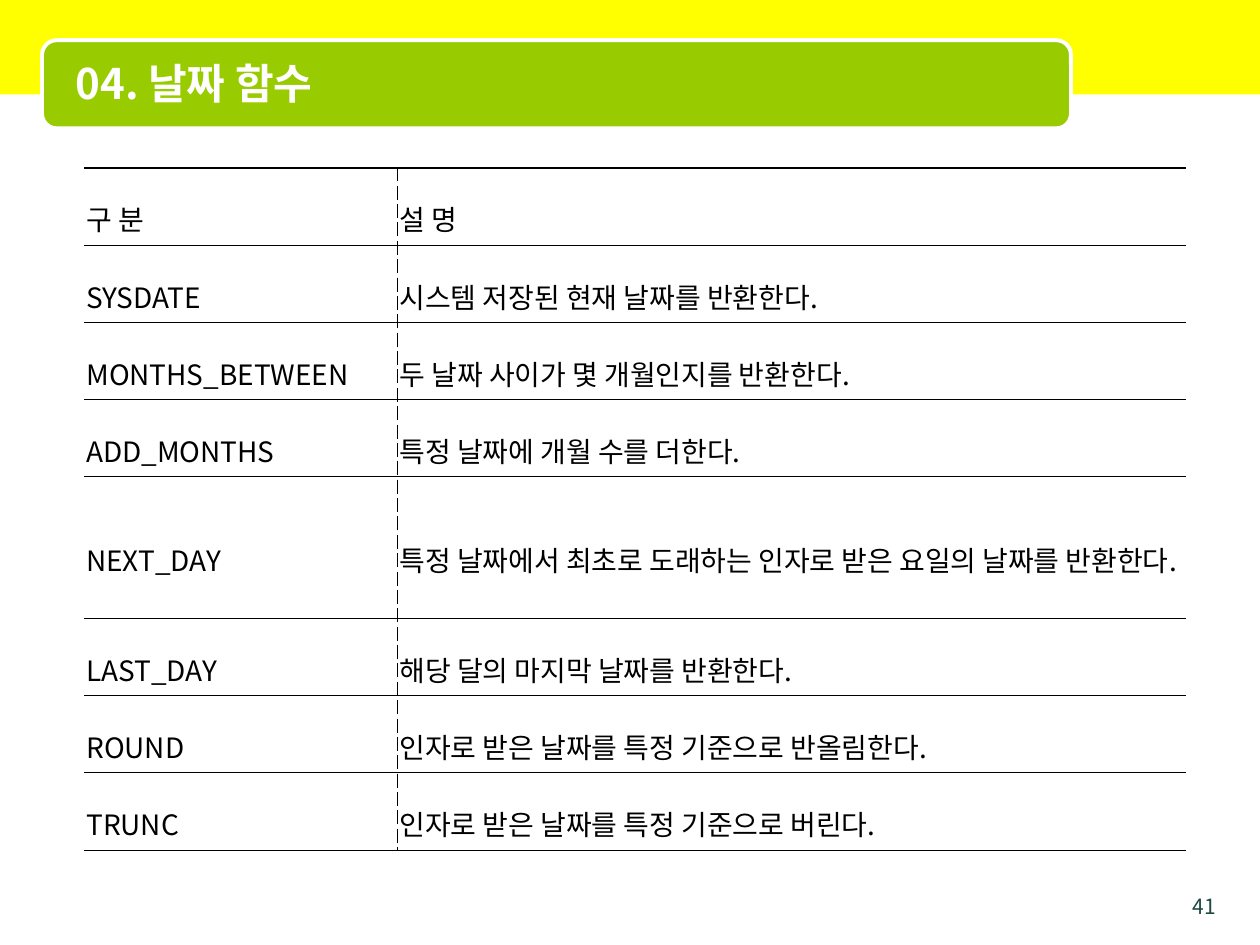
from lxml.etree import SubElement
from pptx import Presentation
from pptx.dml.color import RGBColor
from pptx.enum.shapes import MSO_SHAPE
from pptx.enum.text import MSO_ANCHOR, PP_ALIGN
from pptx.oxml.ns import qn
from pptx.util import Pt

FONT = "Noto Sans CJK KR"
COLORS = {
    "band": "FFFF00",
    "banner": "99CC00",
    "white": "FFFFFF",
    "black": "000000",
    "number": "1D4940",
}
FUNCTIONS = [
    ("구 분", "설 명"),
    ("SYSDATE", "시스템 저장된 현재 날짜를 반환한다."),
    ("MONTHS_BETWEEN", "두 날짜 사이가 몇 개월인지를 반환한다."),
    ("ADD_MONTHS", "특정 날짜에 개월 수를 더한다."),
    ("NEXT_DAY", "특정 날짜에서 최초로 도래하는 인자로 받은 요일의 날짜를 반환한다."),
    ("LAST_DAY", "해당 달의 마지막 날짜를 반환한다."),
    ("ROUND", "인자로 받은 날짜를 특정 기준으로 반올림한다."),
    ("TRUNC", "인자로 받은 날짜를 특정 기준으로 버린다."),
]
TALL_ROW = "NEXT_DAY"
NAME_WIDTH = 179


def rgb(name):
    return RGBColor.from_string(COLORS[name])


def write(frame, text, size, color="black", bold=False, align=PP_ALIGN.LEFT, spacing=None):
    paragraph = frame.paragraphs[0]
    paragraph.alignment = align
    paragraph.line_spacing = spacing
    run = paragraph.add_run()
    run.text = text
    font = run.font
    font.name, font.size, font.bold = FONT, Pt(size), bold
    font.color.rgb = rgb(color)


def add_block(slide, kind, left, top, width, height, fill):
    block = slide.shapes.add_shape(kind, Pt(left), Pt(top), Pt(width), Pt(height))
    block.shadow.inherit = False
    block.fill.solid()
    block.fill.fore_color.rgb = rgb(fill)
    block.line.fill.background()
    return block


def add_header(slide, left, top, width, height, text):
    """Yellow band across the slide, with the green title banner in the given box."""
    add_block(slide, MSO_SHAPE.RECTANGLE, 0, 0, 720, 54, "band")
    banner = add_block(slide, MSO_SHAPE.ROUNDED_RECTANGLE, left, top, width, height, "banner")
    banner.line.color.rgb = rgb("white")
    banner.line.width = Pt(2.25)

    title = slide.shapes.title
    title.left, title.top = Pt(left + 12), Pt(top + 2.2)
    title.width, title.height = Pt(width - 18), Pt(height - 5.8)
    title.text_frame.vertical_anchor = MSO_ANCHOR.MIDDLE
    write(title.text_frame, text, 24, color="white", bold=True)
    # The title placeholder comes first in the tree, so bring it in front of the banner.
    banner.element.addnext(title.element)


def set_border(cell, side, width=None, dash="solid"):
    """Draw one cell border; without a width the side stays open."""
    properties = cell._tc.get_or_add_tcPr()
    line = SubElement(properties, qn(f"a:ln{side}"))
    if width is None:
        SubElement(line, qn("a:noFill"))
        return
    line.set("w", str(Pt(width)))
    fill = SubElement(line, qn("a:solidFill"))
    SubElement(fill, qn("a:srgbClr"), val=COLORS["black"])
    SubElement(line, qn("a:prstDash"), val=dash)


def format_cell(cell, row, column):
    divider = {"width": 0.28, "dash": "dash"}
    set_border(cell, "L", **(divider if column == 1 else {}))
    set_border(cell, "R", **(divider if column == 0 else {}))
    set_border(cell, "T", 0.96 if row == 0 else 0.11)
    set_border(cell, "B", 0.11)
    cell.fill.solid()
    cell.fill.fore_color.rgb = rgb("white")
    cell.vertical_anchor = MSO_ANCHOR.MIDDLE
    cell.margin_left = cell.margin_right = Pt(1.4)
    cell.margin_top = cell.margin_bottom = Pt(3.6)


def add_function_table(slide, left, top, width, height):
    tall = 81
    regular = (height - tall) / (len(FUNCTIONS) - 1)
    table = slide.shapes.add_table(
        len(FUNCTIONS), 2, Pt(left), Pt(top), Pt(width), Pt(height)
    ).table
    table.first_row = table.horz_banding = False
    table.columns[0].width = Pt(NAME_WIDTH)
    table.columns[1].width = Pt(width - NAME_WIDTH)
    for row, entry in enumerate(FUNCTIONS):
        table.rows[row].height = Pt(tall if entry[0] == TALL_ROW else regular)
        for column, text in enumerate(entry):
            cell = table.cell(row, column)
            format_cell(cell, row, column)
            write(cell.text_frame, text, 16, align=PP_ALIGN.JUSTIFY, spacing=1.6)


def add_page_number(slide, left, top, width, height, number):
    frame = slide.shapes.add_textbox(Pt(left), Pt(top), Pt(width), Pt(height)).text_frame
    frame.word_wrap = True
    write(frame, number, 12, color="number", align=PP_ALIGN.RIGHT)


def main():
    presentation = Presentation()
    presentation.slide_width, presentation.slide_height = Pt(720), Pt(540)
    slide = presentation.slides.add_slide(presentation.slide_layouts[5])
    add_header(slide, 24, 23, 588, 50.4, "04. 날짜 함수")
    add_function_table(slide, 48, 96, 630, 316)
    add_page_number(slide, 666, 507, 36, 15, "41")
    presentation.save("out.pptx")


if __name__ == "__main__":
    main()
